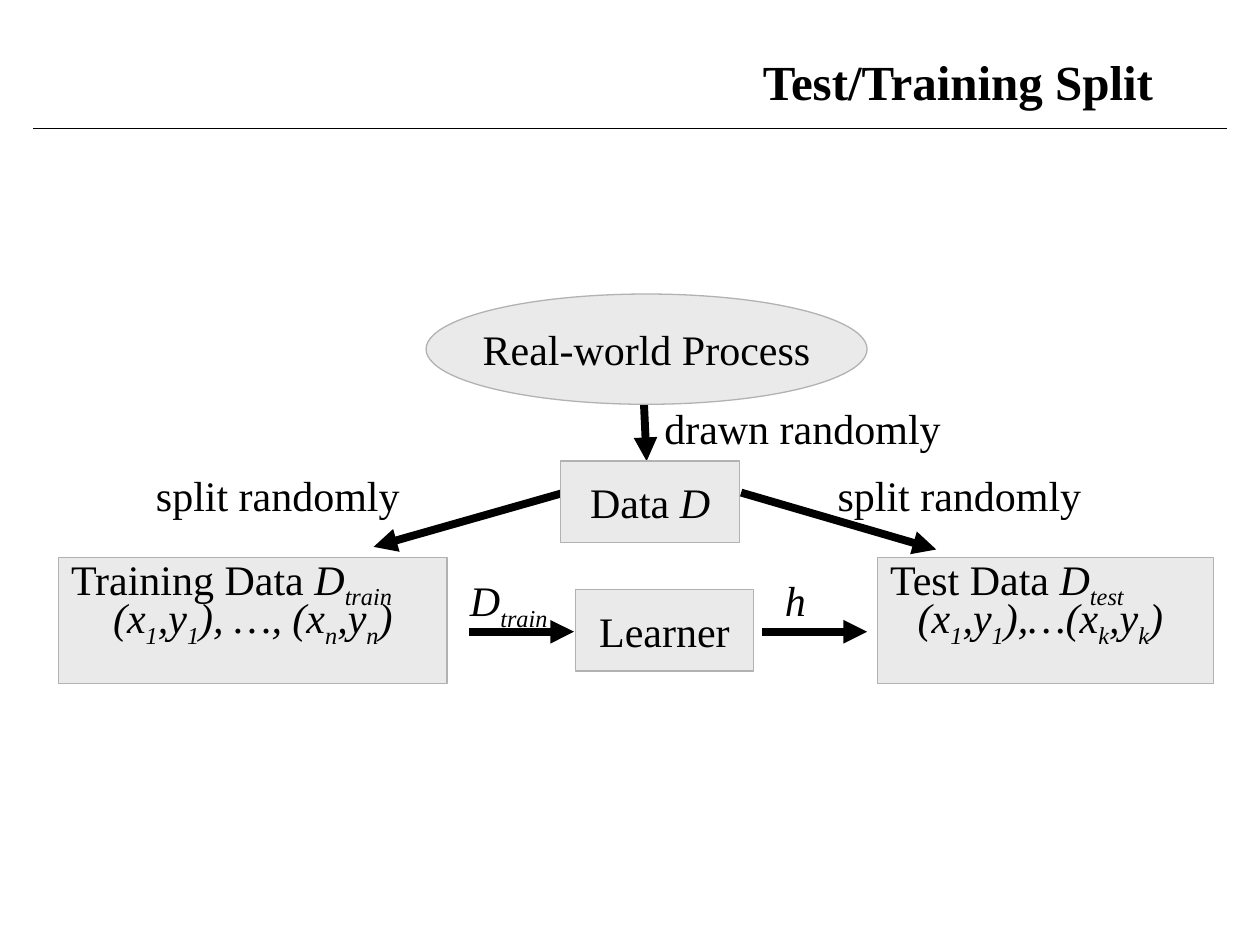
from lxml import etree
from pptx import Presentation
from pptx.dml.color import RGBColor
from pptx.enum.shapes import MSO_CONNECTOR, MSO_SHAPE
from pptx.enum.text import MSO_ANCHOR, PP_ALIGN
from pptx.oxml.ns import qn
from pptx.util import Pt

BLACK = RGBColor(0x00, 0x00, 0x00)
LIGHT_GRAY = RGBColor(0xEA, 0xEA, 0xEA)
MID_GRAY = RGBColor(0xB2, 0xB2, 0xB2)
FONT = "Times New Roman"
STRAIGHT = MSO_CONNECTOR.STRAIGHT
OVAL, RECTANGLE = MSO_SHAPE.OVAL, MSO_SHAPE.RECTANGLE
LEFT, CENTER, RIGHT = PP_ALIGN.LEFT, PP_ALIGN.CENTER, PP_ALIGN.RIGHT
TOP, MIDDLE = MSO_ANCHOR.TOP, MSO_ANCHOR.MIDDLE
PLAIN, ITALIC, SUBSCRIPT = "plain", "italic", "subscript"


def write_text(shape, runs, align, anchor, size=24, bold=False, wrap=False):
    frame = shape.text_frame
    frame.word_wrap = wrap
    frame.vertical_anchor = anchor
    paragraph = frame.paragraphs[0]
    paragraph.alignment = align
    for text, style in runs:
        run = paragraph.add_run()
        run.text = text
        run.font.name = FONT
        run.font.size = Pt(size)
        run.font.bold = bold
        run.font.italic = style != PLAIN
        run.font.color.rgb = BLACK
        if style == SUBSCRIPT:
            run._r.get_or_add_rPr().set("baseline", "-25000")


def add_line(slide, start, end, width, arrow=False):
    connector = slide.shapes.add_connector(STRAIGHT, *map(Pt, start + end))
    connector.line.color.rgb = BLACK
    connector.line.width = Pt(width)
    if arrow:
        outline = connector.line._get_or_add_ln()
        etree.SubElement(outline, qn("a:tailEnd"), type="triangle")
    etree.SubElement(connector._element.spPr, qn("a:effectLst"))


presentation = Presentation()
presentation.slide_width = Pt(720)
presentation.slide_height = Pt(540)
slide = presentation.slides.add_slide(presentation.slide_layouts[6])

# Title and rule
title = slide.shapes.add_textbox(Pt(54), Pt(26.5), Pt(612), Pt(39.5))
write_text(title, [("Test/Training Split", PLAIN)], RIGHT, MIDDLE,
           size=28, bold=True, wrap=True)
add_line(slide, (19, 73.5), (701, 73.5), 0.75)

# Arrows between the stages, below the boxes
arrows = [
    ((322.5, 281.5), (213.5, 312.5)),  # data to training data
    ((423.5, 281.5), (535, 314)),      # data to test data
    ((268, 361), (328, 361)),          # training data to learner
    ((435.5, 361), (495.5, 361)),      # learner to test data
    ((368, 231), (369.5, 263.5)),      # process to data
]
for start, end in arrows:
    add_line(slide, start, end, 4.5, arrow=True)

# Stages: shape, left, top, width, height, runs
training_pairs = [
    ("(x", ITALIC), ("1", SUBSCRIPT), (",y", ITALIC), ("1", SUBSCRIPT),
    ("), …, (x", ITALIC), ("n", SUBSCRIPT), (",y", ITALIC), ("n", SUBSCRIPT),
    (")", ITALIC),
]
test_pairs = [
    ("(x", ITALIC), ("1", SUBSCRIPT), (",y", ITALIC), ("1", SUBSCRIPT),
    ("),…(x", ITALIC), ("k", SUBSCRIPT), (",y", ITALIC), ("k", SUBSCRIPT),
    (") ", ITALIC),
]
stages = [
    (OVAL, 243.5, 168, 252, 63, [("Real-world Process", PLAIN)]),
    (RECTANGLE, 320.5, 263.5, 102, 46.5, [("Data ", PLAIN), ("D", ITALIC)]),
    (RECTANGLE, 33.5, 318.5, 222, 72, training_pairs),
    (RECTANGLE, 328.75, 337, 102, 46.5, [("Learner", PLAIN)]),
    (RECTANGLE, 501.5, 318.5, 192, 72, test_pairs),
]
for kind, left, top, width, height, runs in stages:
    stage = slide.shapes.add_shape(kind, Pt(left), Pt(top), Pt(width), Pt(height))
    stage.shadow.inherit = False
    stage.fill.solid()
    stage.fill.fore_color.rgb = LIGHT_GRAY
    stage.line.color.rgb = MID_GRAY
    stage.line.width = Pt(0.75)
    write_text(stage, runs, CENTER, MIDDLE)

# Labels: left, top, width, runs
train_symbol = [("D", ITALIC), ("train", SUBSCRIPT)]
test_symbol = [("D", ITALIC), ("test", SUBSCRIPT)]
labels = [
    (33.5, 312.5, 203, [("Training Data ", PLAIN)] + train_symbol),
    (501.5, 312.5, 181.5, [("Test Data ", PLAIN)] + test_symbol),
    (82, 265, 156, [("split randomly", PLAIN)]),
    (471.5, 265, 156, [("split randomly", PLAIN)]),
    (372.5, 226.5, 176, [("drawn randomly", PLAIN)]),
    (261.5, 325, 66, train_symbol),
    (441.5, 325, 28, [("h", ITALIC)]),
]
for left, top, width, runs in labels:
    label = slide.shapes.add_textbox(Pt(left), Pt(top), Pt(width), Pt(36))
    write_text(label, runs, LEFT, TOP)

presentation.save("out.pptx")
